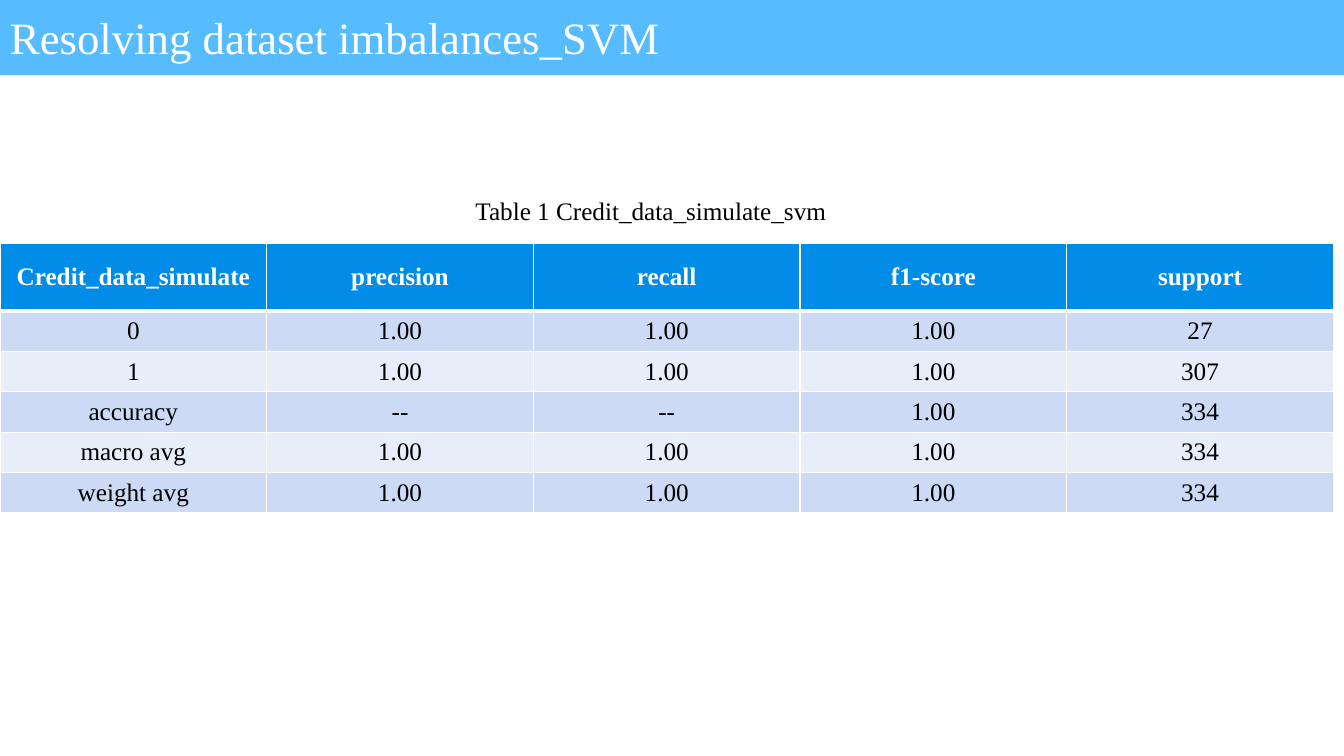
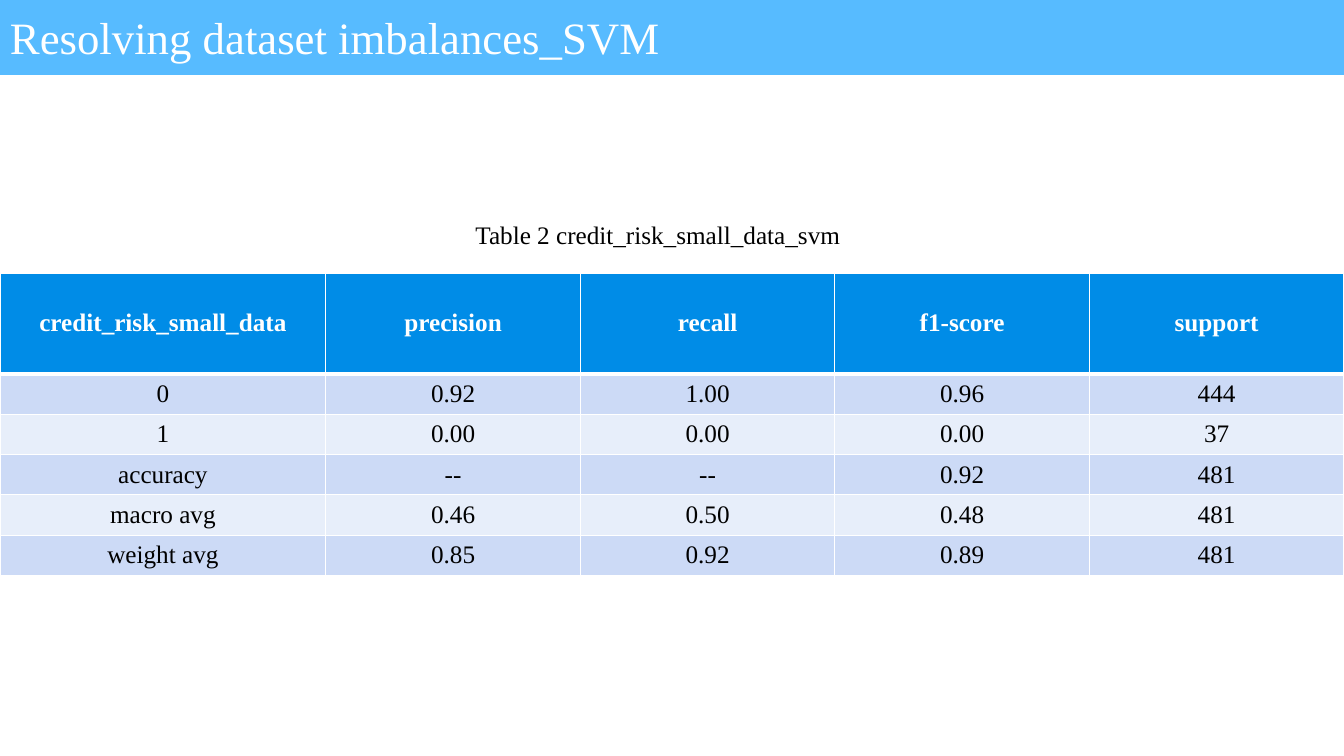
import pptx
import pptx.util
import pptx.dml.color
import pptx.enum.shapes
import pptx.enum.text
import pptx.oxml
import pptx.oxml.ns
import lxml.etree

Pt = pptx.util.Pt
RGB = pptx.dml.color.RGBColor
ALIGN = pptx.enum.text.PP_ALIGN
MIDDLE = pptx.enum.text.MSO_ANCHOR.MIDDLE

WHITE = RGB(0xFF, 0xFF, 0xFF)
BLACK = RGB(0, 0, 0)
SKY = RGB(0x57, 0xBB, 0xFF)
BLUE = RGB(0x00, 0x8C, 0xE7)
PALE = RGB(0xCC, 0xDA, 0xF6)
LIGHT = RGB(0xE7, 0xEE, 0xFA)

WIDTH, HEIGHT = 960, 540
HEADS = ["precision", "recall", "f1-score", "support"]


class Deck:
    face = "Times New Roman"

    def __init__(self):
        self.file = pptx.Presentation()
        self.file.slide_width = Pt(WIDTH)
        self.file.slide_height = Pt(HEIGHT)
        self.slide = None

    def page(self, title):
        self.slide = self.file.slides.add_slide(self.file.slide_layouts[6])
        band = self.slide.shapes.add_shape(
            pptx.enum.shapes.MSO_SHAPE.RECTANGLE, 0, 0, Pt(WIDTH), Pt(52.8))
        band.shadow.inherit = False
        band.fill.solid()
        band.fill.fore_color.rgb = SKY
        band.line.color.rgb = SKY
        band.line.width = Pt(1)
        band.text_frame.vertical_anchor = MIDDLE
        self.text(band.text_frame, title, 32, WHITE)

    def text(self, frame, words, size, color, align=ALIGN.LEFT, bold=False):
        para = frame.paragraphs[0]
        para.text = words
        para.alignment = align
        font = para.font
        font.name = self.face
        font.size = Pt(size)
        font.bold = bold
        font.color.rgb = color

    def label(self, words, top, width, wrap):
        box = self.slide.shapes.add_textbox(
            Pt(332.5), Pt(top), Pt(width), Pt(29))
        box.text_frame.word_wrap = wrap
        box.text_frame.auto_size = pptx.enum.text.MSO_AUTO_SIZE.SHAPE_TO_FIT_TEXT
        self.text(box.text_frame, words, 18, BLACK)

    def border(self, cell, side, width):
        props = cell._tc.get_or_add_tcPr()
        line = lxml.etree.SubElement(
            props, pptx.oxml.ns.qn("a:" + side), w=str(Pt(width)))
        fill = lxml.etree.SubElement(line, pptx.oxml.ns.qn("a:solidFill"))
        lxml.etree.SubElement(
            fill, pptx.oxml.ns.qn("a:srgbClr"), val=str(WHITE))

    def cell(self, cell, words, row):
        head = row == 0
        widths = {"lnL": 1, "lnR": 1,
                  "lnT": 3 if row == 1 else 1, "lnB": 3 if head else 1}
        for side, width in widths.items():
            self.border(cell, side, width)
        cell.fill.solid()
        cell.fill.fore_color.rgb = BLUE if head else PALE if row % 2 else LIGHT
        cell.vertical_anchor = MIDDLE
        self.text(cell.text_frame, words, 18, WHITE if head else BLACK,
                  ALIGN.CENTER, head)

    def table(self, rows, top, cols, head):
        highs = [head] + [28.8] * (len(rows) - 1)
        grid = self.slide.shapes.add_table(
            len(rows), len(cols), 0, Pt(top), Pt(sum(cols)),
            Pt(sum(highs))).table
        for col, width in zip(grid.columns, cols):
            col.width = Pt(width)
        for row, high in zip(grid.rows, highs):
            row.height = Pt(high)
        for r, row in enumerate(rows):
            for c, words in enumerate(row):
                self.cell(grid.cell(r, c), words, r)


def main():
    deck = Deck()
    title = "Resolving dataset imbalances_SVM"

    deck.page(title)
    deck.table([
        ["Credit_data_simulate"] + HEADS,
        ["0", "1.00", "1.00", "1.00", "27"],
        ["1", "1.00", "1.00", "1.00", "307"],
        ["accuracy", "--", "--", "1.00", "334"],
        ["macro avg", "1.00", "1.00", "1.00", "334"],
        ["weight avg", "1.00", "1.00", "1.00", "334"],
    ], 173.5, [190.5] * 5, 48.8)
    deck.label("Table 1 Credit_data_simulate_svm", 136, 265, False)

    deck.page(title)
    deck.label("Table 2 credit_risk_small_data_svm", 153, 403, True)
    deck.table([
        ["credit_risk_small_data"] + HEADS,
        ["0", "0.92", "1.00", "0.96", "444"],
        ["1", "0.00", "0.00", "0.00", "37"],
        ["accuracy", "--", "--", "0.92", "481"],
        ["macro avg", "0.46", "0.50", "0.48", "481"],
        ["weight avg", "0.85", "0.92", "0.89", "481"],
    ], 195, [232.8] + [181.8] * 4, 72)

    deck.file.save("out.pptx")


if __name__ == "__main__":
    main()
